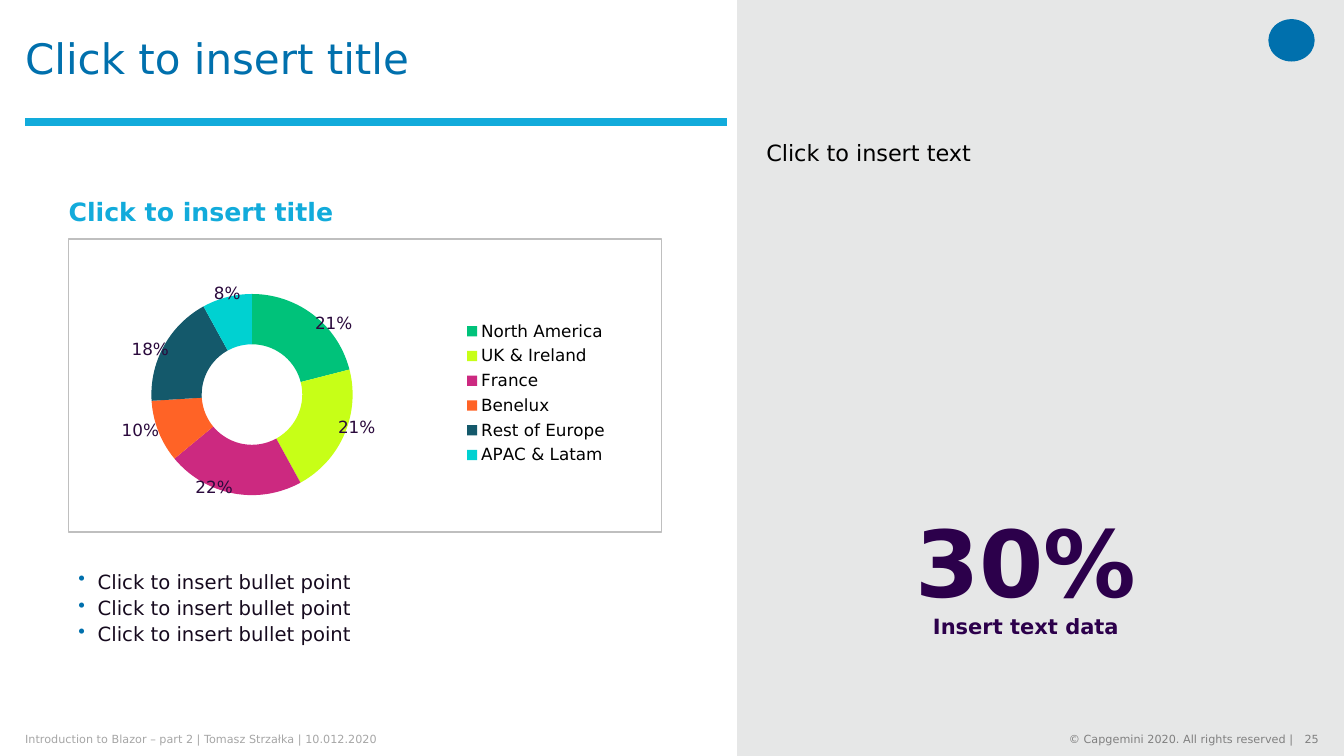
from lxml import etree
from pptx import Presentation
from pptx.chart.data import CategoryChartData
from pptx.dml.color import RGBColor
from pptx.enum.chart import XL_CHART_TYPE, XL_LEGEND_POSITION
from pptx.enum.shapes import MSO_CONNECTOR, MSO_SHAPE
from pptx.enum.text import MSO_ANCHOR, PP_ALIGN
from pptx.oxml import parse_xml
from pptx.oxml.ns import nsdecls, qn
from pptx.util import Inches, Pt

TOP, MID, LOW = MSO_ANCHOR.TOP, MSO_ANCHOR.MIDDLE, MSO_ANCHOR.BOTTOM
LEFT, CENTER, RIGHT = PP_ALIGN.LEFT, PP_ALIGN.CENTER, PP_ALIGN.RIGHT
FONT = "DejaVu Sans"
BLUE, CYAN, PLUM = "0070AD", "12ABDB", "2C004B"

prs = Presentation()
prs.slide_width, prs.slide_height = Inches(13.33), Inches(7.5)
slide = prs.slides.add_slide(prs.slide_layouts[6])
shapes = slide.shapes


def rgb(code):
    return RGBColor.from_string(code)


def write(text, x, y, w, h, size, color, bold=False, align=LEFT, anchor=TOP,
          wrap=True, line=None, bullet=None, inset=(0, 0)):
    frame = shapes.add_textbox(Inches(x), Inches(y), Inches(w), Inches(h)).text_frame
    frame.word_wrap = wrap
    frame.vertical_anchor = anchor
    frame.margin_left = frame.margin_right = Inches(inset[0])
    frame.margin_top = frame.margin_bottom = Inches(inset[1])
    frame.text = text
    for i, para in enumerate(frame.paragraphs):
        para.alignment = align
        if line:
            para.line_spacing = line
        if bullet:
            if i:
                para.space_before = Pt(2)
            props = para._p.get_or_add_pPr()
            props.set("marL", str(Inches(0.19)))
            props.set("indent", str(-Inches(0.19)))
            tint = etree.SubElement(props, qn("a:buClr"))
            etree.SubElement(tint, qn("a:srgbClr")).set("val", bullet)
            etree.SubElement(props, qn("a:buChar")).set("char", "•")
        for run in para.runs:
            run.font.name, run.font.size, run.font.bold = FONT, Pt(size), bold
            run.font.color.rgb = rgb(color)


panel = shapes.add_shape(MSO_SHAPE.RECTANGLE, Inches(7.31), 0, Inches(6.02), Inches(7.5))
badge = shapes.add_shape(MSO_SHAPE.OVAL, Inches(12.58), Inches(0.19), Inches(0.46), Inches(0.42))
for shape, color in ((panel, "E6E7E7"), (badge, BLUE)):
    shape.shadow.inherit = False
    shape.fill.solid()
    shape.fill.fore_color.rgb = rgb(color)
    shape.line.fill.background()

write("Introduction to Blazor – part 2 | Tomasz Strzałka | 10.012.2020",
      0.25, 7.27, 5.16, 0.13, 8, "A6A6A6", anchor=MID, wrap=False)
write("25", 12.89, 7.27, 0.19, 0.13, 8, "808080", align=RIGHT, anchor=MID, wrap=False)
write("© Capgemini 2020. All rights reserved |",
      9.92, 7.27, 2.91, 0.13, 8, "808080", align=RIGHT, anchor=MID)

write("Click to insert text", 7.6, 1.38, 5.15, 3.06, 16, "000000")
write("Insert text data", 7.6, 6.09, 5.15, 0.37, 15, PLUM, bold=True, align=CENTER)
write("30%", 7.6, 5.01, 5.15, 1.08, 66, PLUM, bold=True, align=CENTER)
write("Click to insert title", 0.25, 0, 6.96, 1.21, 30, BLUE, anchor=MID, line=0.9)

regions = [
    ("North America", 0.21, "00C27A", (0.06, -0.04)),
    ("UK & Ireland", 0.21, "C7FF17", (0.06, 0.01)),
    ("France", 0.22, "CC2980", (-0.04, 0.07)),
    ("Benelux", 0.1, "FF6326", (-0.07, 0.03)),
    ("Rest of Europe", 0.18, "14596B", (-0.06, -0.03)),
    ("APAC & Latam", 0.08, "00D1D1", (-0.01, -0.1)),
]
data = CategoryChartData(number_format="0%")
data.categories = [name for name, *rest in regions]
data.add_series("Series 1", [share for name, share, *rest in regions])
chart = shapes.add_chart(XL_CHART_TYPE.DOUGHNUT, Inches(0.68), Inches(2.46),
                         Inches(5.87), Inches(2.72), data).chart
chart.has_title = False
chart.font.name, chart.font.size = FONT, Pt(18)
chart.font.color.rgb = rgb("000000")
chart.has_legend = True
legend = chart.legend
legend.position = XL_LEGEND_POSITION.RIGHT
legend.include_in_layout = False
legend.font.name, legend.font.size = FONT, Pt(12)
legend.font.color.rgb = rgb("000000")


def layout(**parts):
    tags = "".join(f'<c:{key} val="{val}"/>' for key, val in parts.items())
    return parse_xml(f'<c:layout {nsdecls("c")}><c:manualLayout>{tags}'
                     '</c:manualLayout></c:layout>')


root = chart._chartSpace
area = root.find(".//" + qn("c:plotArea"))
for old in area.findall(qn("c:layout")):
    area.remove(old)
area.insert(0, layout(layoutTarget="inner", xMode="edge", yMode="edge",
                      x=0.14, y=0.14, w=0.34, h=0.79))
key = root.find(".//" + qn("c:legend"))
for old in key.findall(qn("c:layout")):
    key.remove(old)
key.find(qn("c:legendPos")).addnext(
    layout(xMode="edge", yMode="edge", x=0.66, y=0.25, w=0.26, h=0.56))
root.find(".//" + qn("c:holeSize")).set("val", "74")

points = chart.plots[0].series[0].points
for i, (name, share, color, shift) in enumerate(regions):
    fill = points[i].format.fill
    fill.solid()
    fill.fore_color.rgb = rgb(color)
    font = points[i].data_label.font
    font.name, font.size = FONT, Pt(12)
    font.color.rgb = rgb("2B0A3D")
for label, region in zip(root.iter(qn("c:dLbl")), regions):
    label.find(qn("c:idx")).addnext(layout(x=region[3][0], y=region[3][1]))

write("Click to insert title", 0.68, 1.49, 5.88, 0.76, 18, CYAN,
      bold=True, anchor=LOW, line=0.9)
write("\n".join(["Click to insert bullet point"] * 3), 0.68, 5.6, 5.88, 0.96,
      14, "160A1E", bullet=BLUE, inset=(0.1, 0.05))

rule = shapes.add_connector(MSO_CONNECTOR.STRAIGHT, Inches(0.25), Inches(1.21),
                            Inches(7.21), Inches(1.21))
rule.line.color.rgb = rgb(CYAN)
rule.line.width = Pt(6)
etree.SubElement(rule._element.spPr, qn("a:effectLst"))

border = shapes.add_shape(MSO_SHAPE.RECTANGLE, Inches(0.68), Inches(2.37),
                          Inches(5.88), Inches(2.91))
border.shadow.inherit = False
border.fill.background()
border.line.color.rgb = rgb("BFBFBF")
border.line.width = Pt(1)

prs.save("out.pptx")
